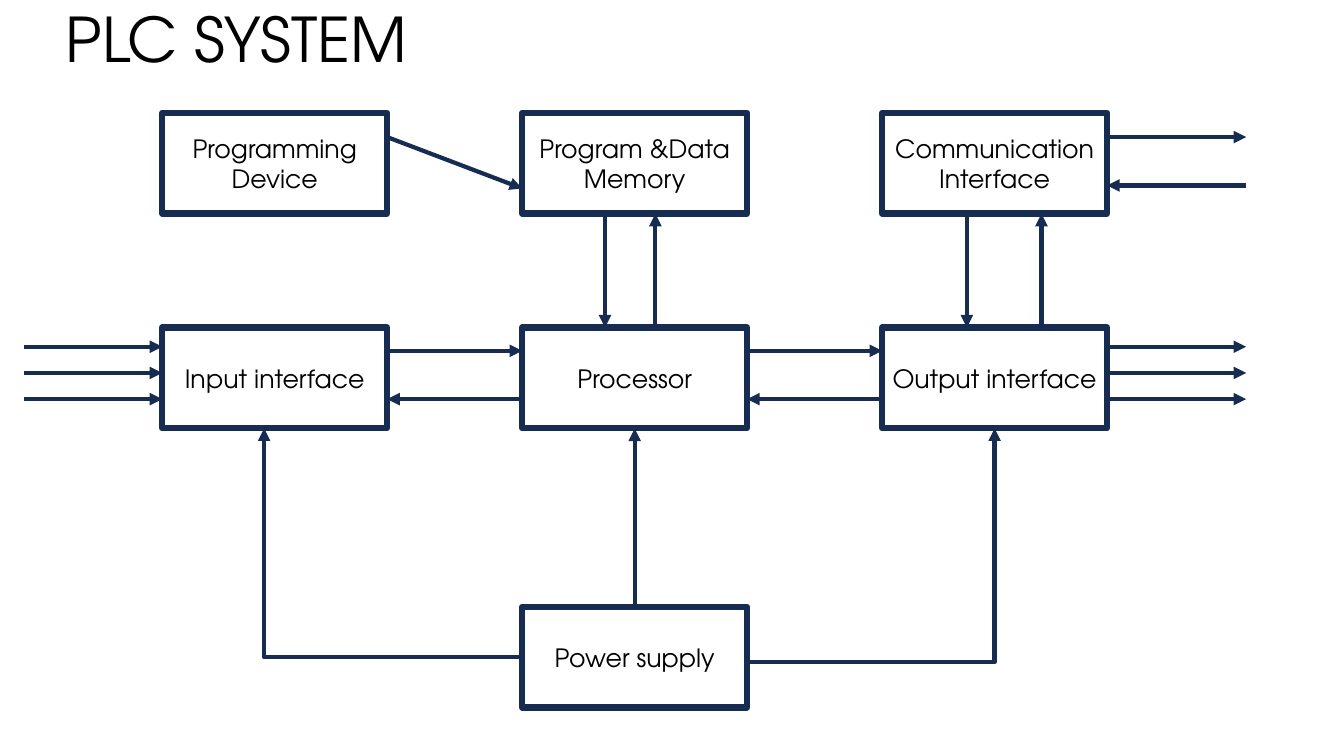
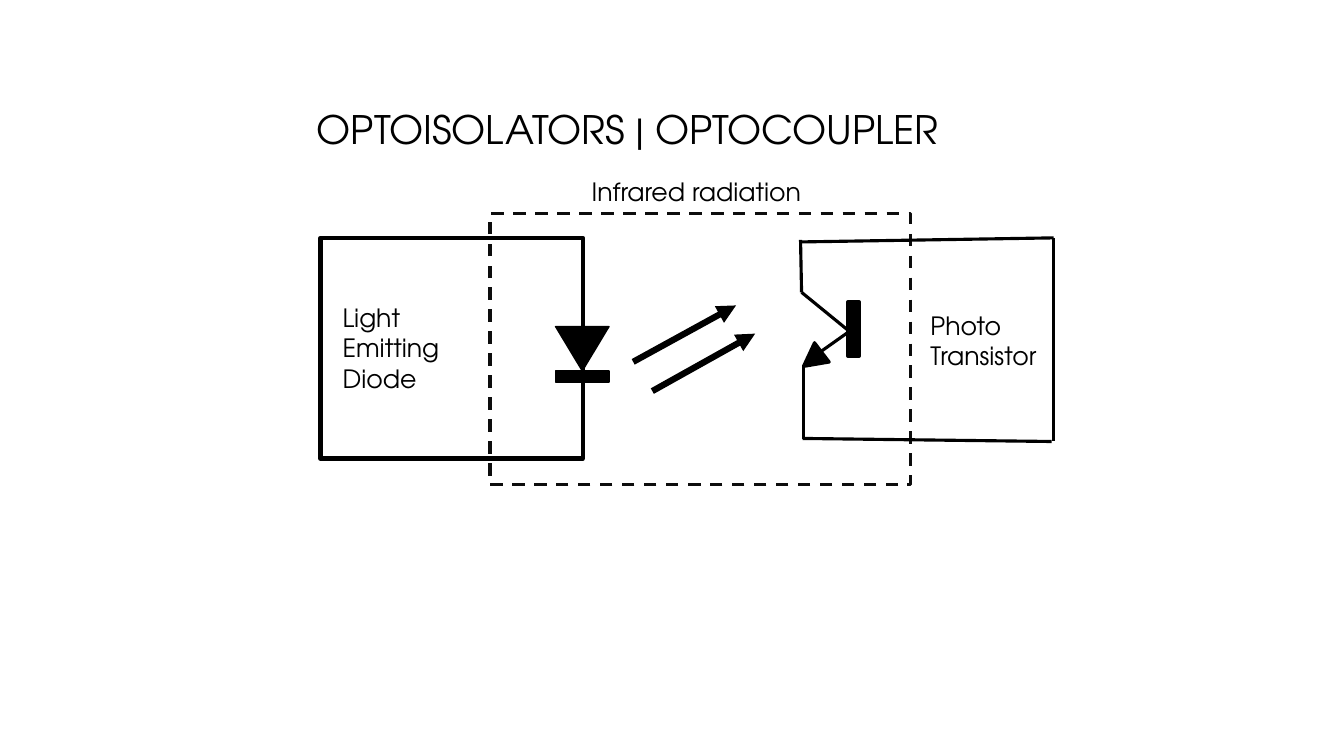
from lxml.etree import SubElement
from pptx import Presentation
from pptx.dml.color import RGBColor
from pptx.enum.dml import MSO_LINE
from pptx.enum.shapes import MSO_CONNECTOR as CONN, MSO_SHAPE as SHAPE
from pptx.enum.text import MSO_ANCHOR as ANCHOR, MSO_AUTO_SIZE as AUTO, PP_ALIGN as ALIGN
from pptx.oxml.ns import qn
from pptx.util import Inches, Pt

FONT = "TeX Gyre Adventor"
NAVY = RGBColor(0x17, 0x2C, 0x51)
BLACK = RGBColor(0, 0, 0)
DASH_GREY = RGBColor(0x0D, 0x0D, 0x0D)

# PLC block diagram: three columns, three rows
BOX_W, BOX_H = 2.23, 1.0
COLS = [1.61 + 3.57 * i for i in range(3)]
RIGHTS = [x + BOX_W for x in COLS]
ROWS = [1.12, 3.25, 6.02]
TOP_BASE, MID_BASE = ROWS[0] + BOX_H, ROWS[1] + BOX_H
FAR_LEFT, FAR_RIGHT = 0.24, 12.36

BLOCKS = [  # column, row, lines
    (0, 0, ["Programming Device"]),
    (1, 0, ["Program &Data Memory"]),
    (2, 0, ["Communication", "Interface"]),
    (0, 1, ["Input interface"]),
    (1, 1, ["Processor"]),
    (2, 1, ["Output interface"]),
    (1, 2, ["Power supply"]),
]
IO_LEVELS = [3.44, 3.7, 3.96]
SIGNALS = [((FAR_LEFT, y), (COLS[0], y)) for y in IO_LEVELS]
SIGNALS += [((RIGHTS[2], y), (FAR_RIGHT, y)) for y in IO_LEVELS]
SIGNALS += [
    ((RIGHTS[0], 1.36), (COLS[1], 1.87)),
    ((RIGHTS[2], 1.36), (FAR_RIGHT, 1.36)),
    ((FAR_RIGHT, 1.84), (RIGHTS[2], 1.84)),
    ((RIGHTS[0], 3.48), (COLS[1], 3.48)),
    ((COLS[1], 3.96), (RIGHTS[0], 3.96)),
    ((RIGHTS[1], 3.48), (COLS[2], 3.48)),
    ((COLS[2], 3.96), (RIGHTS[1], 3.96)),
]
for down, up in [(6.0, 6.5), (9.59, 10.33)]:
    SIGNALS += [((down, TOP_BASE), (down, ROWS[1])), ((up, ROWS[1]), (up, TOP_BASE))]

# Optocoupler circuit
OUTLINES = [  # left, top, width, height, colour, line width, dash
    (3.18, 2.36, 2.6, 2.19, BLACK, 3, None),
    (4.86, 2.12, 4.17, 2.69, DASH_GREY, 2.25, MSO_LINE.DASH),
]
SOLIDS = [  # preset, left, top, width, height, rotation, line width
    (SHAPE.ISOSCELES_TRIANGLE, 5.51, 3.24, 0.53, 0.44, 180, 1),
    (SHAPE.RECTANGLE, 5.51, 3.68, 0.53, 0.11, 0, 1),
    (SHAPE.ISOSCELES_TRIANGLE, 7.94, 3.45, 0.24, 0.23, 232.7, 2.25),
    (SHAPE.RECTANGLE, 8.41, 3.0, 0.11, 0.53, 0, 3),
]
RAYS = [((6.28, 3.59), (7.3, 3.03)), ((6.47, 3.88), (7.49, 3.31))]
WIRES = [
    ((7.95, 2.9), (8.44, 3.3)),
    ((8.04, 3.56), (8.52, 3.22)),
    ((10.45, 2.36), (10.45, 4.38)),
    ((10.43, 4.38), (7.96, 4.35)),
    ((10.45, 2.36), (7.95, 2.4)),
    ((7.97, 3.63), (7.97, 4.36)),
    ((7.94, 2.38), (7.95, 2.9)),
]
LABELS = [  # left, top, width, height, lines
    (3.3, 2.95, 1.3, 1.01, ["Light", "Emitting", "Diode"]),
    (9.13, 3.03, 1.3, 0.71, ["Photo", "Transistor"]),
    (5.77, 1.7, 2.4, 0.4, ["Infrared radiation"]),
]


def write(tf, lines, size=18, align=ALIGN.LEFT, anchor=ANCHOR.TOP, spacing=1.0):
    tf.word_wrap = True
    tf.auto_size = AUTO.NONE
    tf.vertical_anchor = anchor
    for i, line in enumerate(lines):
        p = tf.add_paragraph() if i else tf.paragraphs[0]
        p.alignment, p.line_spacing = align, spacing
        r = p.add_run()
        r.text = line
        r.font.name, r.font.size = FONT, Pt(size)
        r.font.color.rgb = BLACK


def add_titled_slide(prs, title, box, size, **style):
    s = prs.slides.add_slide(prs.slide_layouts[5])
    t = s.shapes.title
    t.left, t.top, t.width, t.height = map(Inches, box)
    write(t.text_frame, [title], size, **style)
    return s


def add_shape(s, preset, box, color, width, filled=False):
    sp = s.shapes.add_shape(preset, *map(Inches, box))
    sp.shadow.inherit = False
    if filled:
        sp.fill.solid()
        sp.fill.fore_color.rgb = color
    else:
        sp.fill.background()
    sp.line.color.rgb = color
    sp.line.width = Pt(width)
    return sp


def add_line(s, start, end, color, width, arrow=False, bent=False):
    """Draw a straight line, or one that runs across and then up."""
    kind = CONN.ELBOW if bent else CONN.STRAIGHT
    c = s.shapes.add_connector(kind, *map(Inches, (*start, *end)))
    c.line.color.rgb = color
    c.line.width = Pt(width)
    sp_pr = c._element.spPr
    if bent:
        sp_pr.find(qn("a:prstGeom")).set("prst", "bentConnector2")
    if arrow:
        SubElement(c.line._get_or_add_ln(), qn("a:tailEnd"), type="triangle")
    SubElement(sp_pr, qn("a:effectLst"))
    return c


def build_plc(prs):
    s = add_titled_slide(prs, "PLC SYSTEM", (0.55, 0.04, 11.5, 1.45), 44, spacing=0.9)
    blocks = {}
    for col, row, lines in BLOCKS:
        sp = add_shape(s, SHAPE.RECTANGLE, (COLS[col], ROWS[row], BOX_W, BOX_H), NAVY, 4.5)
        write(sp.text_frame, lines, align=ALIGN.CENTER, anchor=ANCHOR.MIDDLE)
        blocks[col, row] = sp
    for start, end in SIGNALS:
        add_line(s, start, end, NAVY, 3, arrow=True)

    supply, center = blocks[1, 2], COLS[1] + BOX_W / 2
    feed = add_line(s, (center, ROWS[2]), (center, MID_BASE), NAVY, 3, arrow=True)
    feed.begin_connect(supply, 0)
    feed.end_connect(blocks[1, 1], 2)
    for start, end in [((COLS[1], 6.52), (2.62, MID_BASE)),
                       ((RIGHTS[1], 6.57), (COLS[2] + BOX_W / 2, MID_BASE))]:
        add_line(s, start, end, NAVY, 3, arrow=True, bent=True)


def build_optocoupler(prs):
    s = add_titled_slide(prs, "OPTOISOLATORS | OPTOCOUPLER", (2.89, 0.99, 6.67, 0.57), 28,
                         align=ALIGN.CENTER)
    for *box, color, width, dash in OUTLINES:
        sp = add_shape(s, SHAPE.RECTANGLE, box, color, width)
        if dash:
            sp.line.dash_style = dash
    for preset, *box, rotation, width in SOLIDS:
        add_shape(s, preset, box, BLACK, width, filled=True).rotation = rotation
    for start, end in RAYS:
        add_line(s, start, end, BLACK, 4.5, arrow=True)
    for start, end in WIRES:
        add_line(s, start, end, BLACK, 2.25)
    for *box, lines in LABELS:
        write(s.shapes.add_textbox(*map(Inches, box)).text_frame, lines)


def main():
    prs = Presentation()
    prs.slide_width, prs.slide_height = Inches(13.33), Inches(7.5)
    build_plc(prs)
    build_optocoupler(prs)
    prs.save("out.pptx")


if __name__ == "__main__":
    main()
